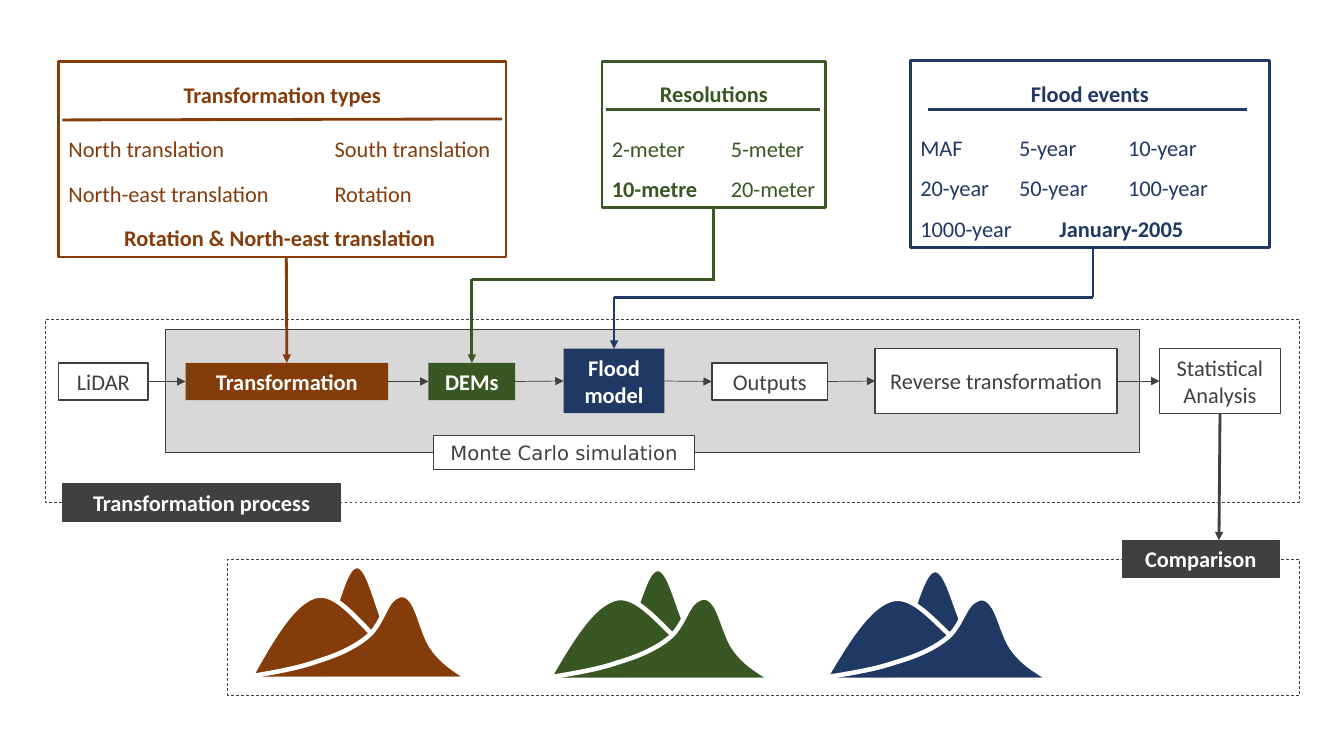
import pptx
import pptx.dml.color
import pptx.enum.dml
import pptx.enum.shapes
import pptx.enum.text
import pptx.oxml.ns
import pptx.util
from lxml import etree

Inches = pptx.util.Inches
Pt = pptx.util.Pt
RGBColor = pptx.dml.color.RGBColor
qn = pptx.oxml.ns.qn

BROWN = RGBColor(0x84, 0x3C, 0x0B)
GREEN = RGBColor(0x38, 0x57, 0x23)
NAVY = RGBColor(0x20, 0x38, 0x64)
GREY = RGBColor(0x40, 0x40, 0x40)
WHITE = RGBColor(0xFF, 0xFF, 0xFF)

BACK_PEAK = [
    (0, 1.08), (0.24, 1.03), (0.49, 0.97), (0.66, 0.79), (0.84, 0.61), (0.92, 0), (1.05, 0),
    (1.18, 0), (1.26, 0.61), (1.44, 0.79), (1.62, 0.97), (2.12, 1.08), (2.12, 1.08)]
LEFT_HILL = [
    (0, 1.08), (0.21, 0.7), (0.43, 0.32), (0.66, 0.28), (0.9, 0.24), (1.16, 0.69), (1.4, 0.82),
    (1.64, 0.95), (1.88, 1.01), (2.12, 1.07)]
RIGHT_HILL = [
    (2.12, 1.08), (2, 1), (1.89, 0.93), (1.8, 0.8), (1.71, 0.68), (1.66, 0.41), (1.59, 0.33),
    (1.53, 0.25), (1.47, 0.26), (1.4, 0.32), (1.33, 0.38), (1.28, 0.59), (1.15, 0.69),
    (1.03, 0.79), (0.86, 0.87), (0.66, 0.93), (0.47, 1), (0.23, 1.04), (0, 1.08)]


class Diagram:
    def __init__(self, slide):
        self.shapes = slide.shapes

    def paint(self, shape, fill, line, weight):
        shape.shadow.inherit = False
        for part, color in ((shape.fill, fill), (shape.line.fill, line)):
            if color is None:
                part.background()
            else:
                part.solid()
                part.fore_color.rgb = color
        if line is not None:
            shape.line.width = Pt(weight)

    def style(self, paragraph, color, bold=None, font="Calibri", size=16):
        paragraph.font.name = font
        paragraph.font.size = Pt(size)
        paragraph.font.color.rgb = color
        paragraph.font.bold = bold

    def frame(self, place, fill=None, line=GREY, weight=0.5, dashed=False):
        box = self.shapes.add_shape(
            pptx.enum.shapes.MSO_SHAPE.RECTANGLE, *(Inches(length) for length in place))
        self.paint(box, fill, line, weight)
        if dashed:
            box.line.dash_style = pptx.enum.dml.MSO_LINE.DASH
        return box

    def label(self, words, place, fill=None, line=GREY, weight=0.5, color=GREY, **look):
        box = self.frame(place, fill, line, weight)
        box.text_frame.auto_size = pptx.enum.text.MSO_AUTO_SIZE.SHAPE_TO_FIT_TEXT
        box.text_frame.text = words
        for paragraph in box.text_frame.paragraphs:
            paragraph.alignment = pptx.enum.text.PP_ALIGN.CENTER
            self.style(paragraph, color, **look)
        return box

    def badge(self, words, place, fill=GREY, line=GREY):
        return self.label(words, place, fill, line, color=WHITE, bold=True)

    def card(self, heading, rows, color, place, rule, gap=0):
        box = self.frame(place, line=color, weight=2)
        text = box.text_frame
        text.auto_size = pptx.enum.text.MSO_AUTO_SIZE.SHAPE_TO_FIT_TEXT
        align = pptx.enum.text.PP_ALIGN
        for i, (runs, tabs) in enumerate([([(heading, True)], ()), *rows]):
            paragraph = text.add_paragraph() if i else text.paragraphs[0]
            paragraph.alignment = align.LEFT if tabs else align.CENTER
            paragraph.line_spacing = 1.5
            paragraph.space_after = Pt(gap if i else 10)
            if tabs:
                stops = etree.SubElement(paragraph._p.get_or_add_pPr(), qn("a:tabLst"))
                for tab in tabs:
                    etree.SubElement(stops, qn("a:tab"), pos=str(Inches(tab)), algn="l")
            agreed = runs[0][1] if len(runs) == 1 else None
            self.style(paragraph, color, agreed)
            for words, bold in runs:
                run = paragraph.add_run()
                run.text = words
                if agreed is None:
                    run.font.bold = bold
        self.link(*rule, color=color)
        return box

    def link(self, x1, y1, x2, y2, color=GREY, weight=2, arrow=False, begin=None, end=None):
        connector = self.shapes.add_connector(
            pptx.enum.shapes.MSO_CONNECTOR.STRAIGHT,
            Inches(x1), Inches(y1), Inches(x2), Inches(y2))
        if begin:
            connector.begin_connect(*begin)
        if end:
            connector.end_connect(*end)
        connector.line.color.rgb = color
        connector.line.width = Pt(weight)
        properties = connector._element.spPr
        if arrow:
            etree.SubElement(properties.find(qn("a:ln")), qn("a:tailEnd"), type="triangle")
        etree.SubElement(properties, qn("a:effectLst"))

    def mountain(self, left, top, width, height, color):
        for knots, weight in ((BACK_PEAK, 1), (LEFT_HILL, 3.25), (RIGHT_HILL, 3.25)):
            points = [(Inches(left + x * width / 2.12), Inches(top + y * height / 1.08))
                      for x, y in knots]
            builder = self.shapes.build_freeform(*points[0])
            builder.add_line_segments(points[1:], close=False)
            slope = builder.convert_to_shape()
            self.paint(slope, color, WHITE, weight)
            outline = slope._element.find(".//" + qn("a:path"))
            segments = outline.findall(qn("a:lnTo"))
            for i in range(0, len(segments), 3):
                curve = etree.SubElement(outline, qn("a:cubicBezTo"))
                for segment in segments[i:i + 3]:
                    curve.append(segment[0])
                    outline.remove(segment)


def main():
    deck = pptx.Presentation()
    deck.slide_width, deck.slide_height = Inches(13.33), Inches(7.5)
    diagram = Diagram(deck.slides.add_slide(deck.slide_layouts[6]))

    simulation = diagram.frame((1.64, 3.27, 9.66, 1.22), fill=GREY, weight=1)
    tint = simulation._element.spPr.find(qn("a:solidFill"))[0]
    etree.SubElement(tint, qn("a:alpha"), val="20000")

    diagram.card("Flood events", [
        ([("MAF\t5-year\t10-year", False)], (0.98, 2.06)),
        ([("20-year\t50-year\t100-year\t", False)], (0.98, 2.06)),
        ([("1000-year\t", False), ("January-2005", True)], (1.38,)),
    ], NAVY, (9.03, 0.6, 3.56, 1.86), (9.2, 1.09, 12.37, 1.09))
    resolutions = diagram.card("Resolutions", [
        ([("2-meter\t5-meter", False)], (1.18,)),
        ([("10-metre", True), ("\t20-meter", False)], (1.18,)),
    ], GREEN, (5.97, 0.61, 2.22, 1.45), (6.01, 1.09, 8.13, 1.09))
    diagram.card("Transformation types", [
        ([("North translation\tSouth translation", False)], (2.64,)),
        ([("North-east translation\tRotation", False)], (2.64,)),
        ([("Rotation & North-east translation ", True)], ()),
    ], BROWN, (0.58, 0.61, 4.44, 1.94), (0.62, 1.19, 4.98, 1.18), gap=3)

    lidar = diagram.label("LiDAR", (0.58, 3.6, 0.89, 0.37), weight=1)
    transformation = diagram.badge("Transformation", (1.84, 3.6, 2.01, 0.37), BROWN, None)
    dems = diagram.badge("DEMs", (4.25, 3.6, 0.86, 0.37), GREEN, None)
    flood_model = diagram.badge("Flood\nmodel", (5.59, 3.46, 1, 0.64), NAVY, None)
    outputs = diagram.label("Outputs", (7.06, 3.6, 1.15, 0.37), WHITE, weight=1)
    reverse = diagram.label("Reverse transformation", (8.68, 3.46, 2.4, 0.64), WHITE, weight=1)
    statistics = diagram.label("Statistical Analysis", (11.5, 3.46, 1.2, 0.64))
    steps = [lidar, transformation, dems, flood_model, outputs, reverse, statistics]
    for before, after in zip(steps, steps[1:]):
        diagram.link(0, 3.78, 0, 3.78, weight=0.5, arrow=True, begin=(before, 3), end=(after, 1))

    diagram.link(2.84, 2.56, 2.85, 3.6, BROWN, arrow=True, end=(transformation, 0))
    diagram.link(4.68, 2.77, 4.68, 3.6, GREEN, arrow=True, end=(dems, 0))
    diagram.link(4.68, 2.77, 7.09, 2.77, GREEN)
    diagram.link(7.08, 2.06, 7.08, 2.77, GREEN, begin=(resolutions, 2))
    diagram.link(6.09, 2.95, 6.09, 3.46, NAVY, arrow=True, end=(flood_model, 0))
    diagram.link(6.09, 2.95, 10.84, 2.95, NAVY)
    diagram.link(10.84, 2.46, 10.84, 2.95, NAVY)

    diagram.label("Monte Carlo simulation", (4.3, 4.32, 2.59, 0.34), WHITE, weight=1,
                  font="DejaVu Sans", size=14)
    diagram.frame((0.45, 3.17, 12.44, 1.81), dashed=True)
    diagram.badge("Transformation process", (0.62, 4.8, 2.76, 0.37))

    diagram.mountain(2.49, 5.63, 2.12, 1.08, BROWN)
    diagram.mountain(5.45, 5.66, 2.17, 1.06, GREEN)
    diagram.mountain(8.19, 5.67, 2.19, 1.05, NAVY)
    diagram.frame((2.26, 5.55, 10.63, 1.35), dashed=True)
    diagram.badge("Comparison", (11.13, 5.36, 1.56, 0.37))
    diagram.link(12.09, 4.1, 12.09, 5.36, arrow=True, begin=(statistics, 2))

    deck.save("out.pptx")


if __name__ == "__main__":
    main()
